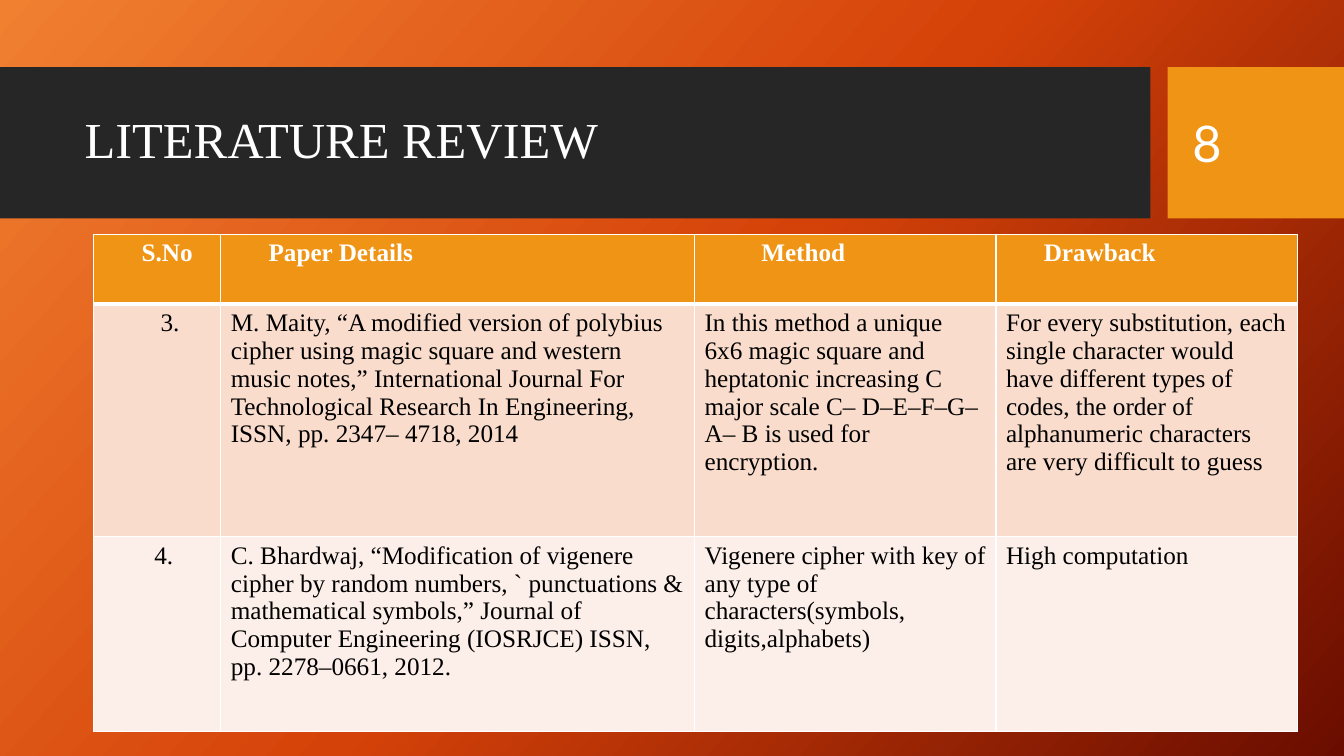
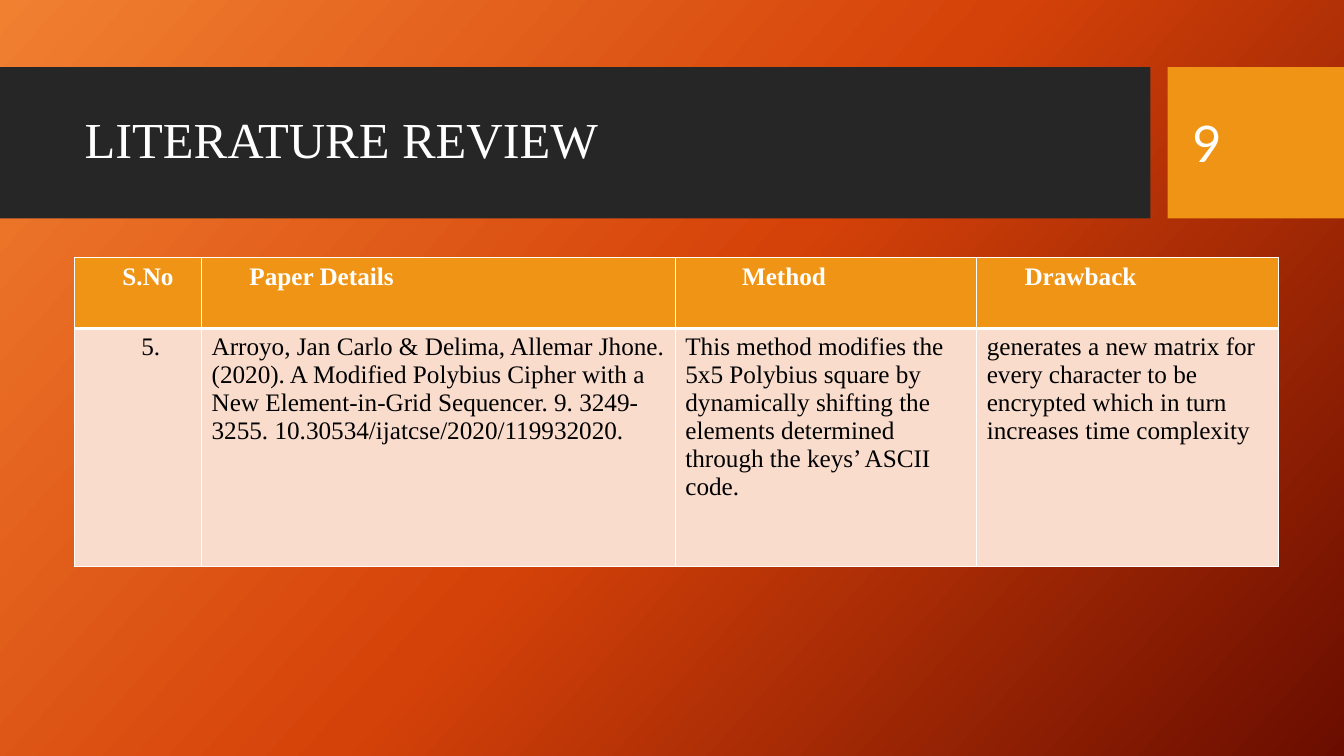
from lxml import etree
from pptx import Presentation
from pptx.dml.color import RGBColor
from pptx.enum.shapes import MSO_SHAPE
from pptx.enum.text import MSO_ANCHOR, MSO_AUTO_SIZE, PP_ALIGN
from pptx.oxml.ns import qn
from pptx.util import Pt

WHITE = RGBColor(0xFF, 0xFF, 0xFF)
BLACK = RGBColor(0x00, 0x00, 0x00)
CHARCOAL = RGBColor(0x26, 0x26, 0x26)
AMBER = RGBColor(0xF0, 0x94, 0x15)
ROW_TINTS = [RGBColor(0xF9, 0xDC, 0xCC), RGBColor(0xFC, 0xEE, 0xE8)]
BACKDROP_STOPS = [
    (0, RGBColor(0xF1, 0x80, 0x31)),
    (50, RGBColor(0xD5, 0x42, 0x09)),
    (100, RGBColor(0x6A, 0x0D, 0x00)),
]
BACKDROP_ANGLE = 42

SERIF = "Times New Roman"
NUMBER_FONT = "Lato"

# Boxes are left, top, width, height in points.
SLIDE_SIZE = (960, 540)
TITLE_BAND = (0, 48, 821.8, 108)
NUMBER_BAND = (834, 48, 126, 108)
TITLE_BOX = (53.3, 59, 756.7, 85)
NUMBER_BOX = (844.6, 59, 90.7, 85.7)

COLUMN_WIDTHS = [90.7, 338.4, 215.3, 215.3]
CELL_MARGIN = 7.2
HEADINGS = ["S.No", "Paper Details", "Method", "Drawback"]
HEADING_INDENTS = [27, 27, 40.5, 27]

REVIEWS = [
    {
        "number": "8",
        "corner": (67, 167.3),
        "row_heights": [49.7, 166.3, 139.4],
        "number_indents": [40.5, 36],
        "papers": [
            ("3.",
             "M. Maity, “A modified version of polybius cipher using magic square and "
             "western music notes,” International Journal For Technological Research In "
             "Engineering, ISSN, pp. 2347– 4718, 2014",
             "In this method a unique 6x6 magic square and heptatonic increasing C major "
             "scale C– D–E–F–G–A– B is used for encryption.",
             "For every substitution, each single character would have different types of "
             "codes, the order of alphanumeric characters are very difficult to guess"),
            ("4.",
             "C. Bhardwaj, “Modification of vigenere cipher by random numbers, ` "
             "punctuations & mathematical symbols,” Journal of Computer Engineering "
             "(IOSRJCE) ISSN, pp. 2278–0661, 2012.",
             "Vigenere cipher with key of any type of characters(symbols, digits,alphabets)",
             "High computation"),
        ],
    },
    {
        "number": "9",
        "corner": (53.3, 184.2),
        "row_heights": [50.4, 170],
        "number_indents": [40.5],
        "papers": [
            ("5.",
             "Arroyo, Jan Carlo & Delima, Allemar Jhone. (2020). A Modified Polybius Cipher "
             "with a New Element-in-Grid Sequencer. 9. 3249-3255. "
             "10.30534/ijatcse/2020/119932020.",
             "This method modifies the 5x5 Polybius square by dynamically shifting the "
             "elements determined through the keys’ ASCII code.",
             "generates a new matrix for every character to be encrypted which in turn "
             "increases time complexity"),
        ],
    },
]


def points(box):
    return [Pt(length) for length in box]


def style_font(font, name, size, color, bold=False):
    font.name = name
    font.size = Pt(size)
    font.color.rgb = color
    font.bold = bold


def paint_backdrop(master):
    fill = master.background.fill
    fill.gradient()
    # A gradient angle counts anticlockwise here.
    fill.gradient_angle = 360 - BACKDROP_ANGLE
    stop_list = fill._fill._gradFill.find(qn("a:gsLst"))
    for stop in list(stop_list):
        stop_list.remove(stop)
    for percent, color in BACKDROP_STOPS:
        stop = etree.SubElement(stop_list, qn("a:gs"), pos=str(percent * 1000))
        etree.SubElement(stop, qn("a:srgbClr"), val=str(color))


def move_bands_to_master(master, slide):
    """Draw the two bands on a slide, then move them behind all else on the master."""
    for index, (box, color) in enumerate([(TITLE_BAND, CHARCOAL), (NUMBER_BAND, AMBER)]):
        band = slide.shapes.add_shape(MSO_SHAPE.RECTANGLE, *points(box))
        band.shadow.inherit = False
        band.fill.solid()
        band.fill.fore_color.rgb = color
        band.line.fill.background()
        master.shapes._spTree.insert(2 + index, band._element)


def fill_title(slide):
    title = slide.shapes.title
    title.left, title.top, title.width, title.height = points(TITLE_BOX)
    frame = title.text_frame
    frame.text = "LITERATURE REVIEW"
    frame.auto_size = MSO_AUTO_SIZE.NONE
    frame.vertical_anchor = MSO_ANCHOR.MIDDLE
    heading = frame.paragraphs[0]
    heading.alignment = PP_ALIGN.LEFT
    heading.line_spacing = 0.9
    style_font(heading.font, SERIF, 36, WHITE)


def add_number(slide, number):
    frame = slide.shapes.add_textbox(*points(NUMBER_BOX)).text_frame
    frame.word_wrap = True
    frame.vertical_anchor = MSO_ANCHOR.MIDDLE
    frame.text = number
    style_font(frame.paragraphs[0].font, NUMBER_FONT, 36, WHITE)


def draw_borders(cell, widths):
    """Give a cell white borders; widths maps the sides L, R, T, B to points."""
    properties = cell._tc.get_or_add_tcPr()
    for side in "LRTB":
        border = etree.SubElement(properties, qn(f"a:ln{side}"), w=str(Pt(widths[side])))
        solid = etree.SubElement(border, qn("a:solidFill"))
        etree.SubElement(solid, qn("a:srgbClr"), val=str(WHITE))


def fill_cell(cell, text, indent, fill_color, text_color, borders, bold):
    draw_borders(cell, borders)
    cell.fill.solid()
    cell.fill.fore_color.rgb = fill_color
    cell.margin_left = Pt(CELL_MARGIN + indent)
    cell.text = text
    style_font(cell.text_frame.paragraphs[0].font, SERIF, 18, text_color, bold)


def add_paper_table(slide, corner, row_heights, papers, number_indents):
    box = (*corner, sum(COLUMN_WIDTHS), sum(row_heights))
    table = slide.shapes.add_table(len(row_heights), len(COLUMN_WIDTHS), *points(box)).table
    table.horz_banding = False
    for column, width in zip(table.columns, COLUMN_WIDTHS):
        column.width = Pt(width)
    for row, height in zip(table.rows, row_heights):
        row.height = Pt(height)

    thin = dict.fromkeys("LRTB", 1)
    for column, (heading, indent) in enumerate(zip(HEADINGS, HEADING_INDENTS)):
        fill_cell(table.cell(0, column), heading, indent, AMBER, WHITE, {**thin, "B": 3}, True)
    for row, (paper, number_indent) in enumerate(zip(papers, number_indents), start=1):
        tint = ROW_TINTS[(row - 1) % len(ROW_TINTS)]
        borders = {**thin, "T": 3 if row == 1 else 1}
        for column, text in enumerate(paper):
            indent = number_indent if column == 0 else 0
            fill_cell(table.cell(row, column), text, indent, tint, BLACK, borders, False)


def add_review_slide(prs, review):
    slide = prs.slides.add_slide(prs.slide_layouts.get_by_name("Title Only"))
    fill_title(slide)
    add_paper_table(slide, review["corner"], review["row_heights"],
                    review["papers"], review["number_indents"])
    add_number(slide, review["number"])
    return slide


def main():
    prs = Presentation()
    prs.slide_width, prs.slide_height = points(SLIDE_SIZE)
    paint_backdrop(prs.slide_master)
    slides = [add_review_slide(prs, review) for review in REVIEWS]
    move_bands_to_master(prs.slide_master, slides[0])
    prs.save("out.pptx")


if __name__ == "__main__":
    main()
